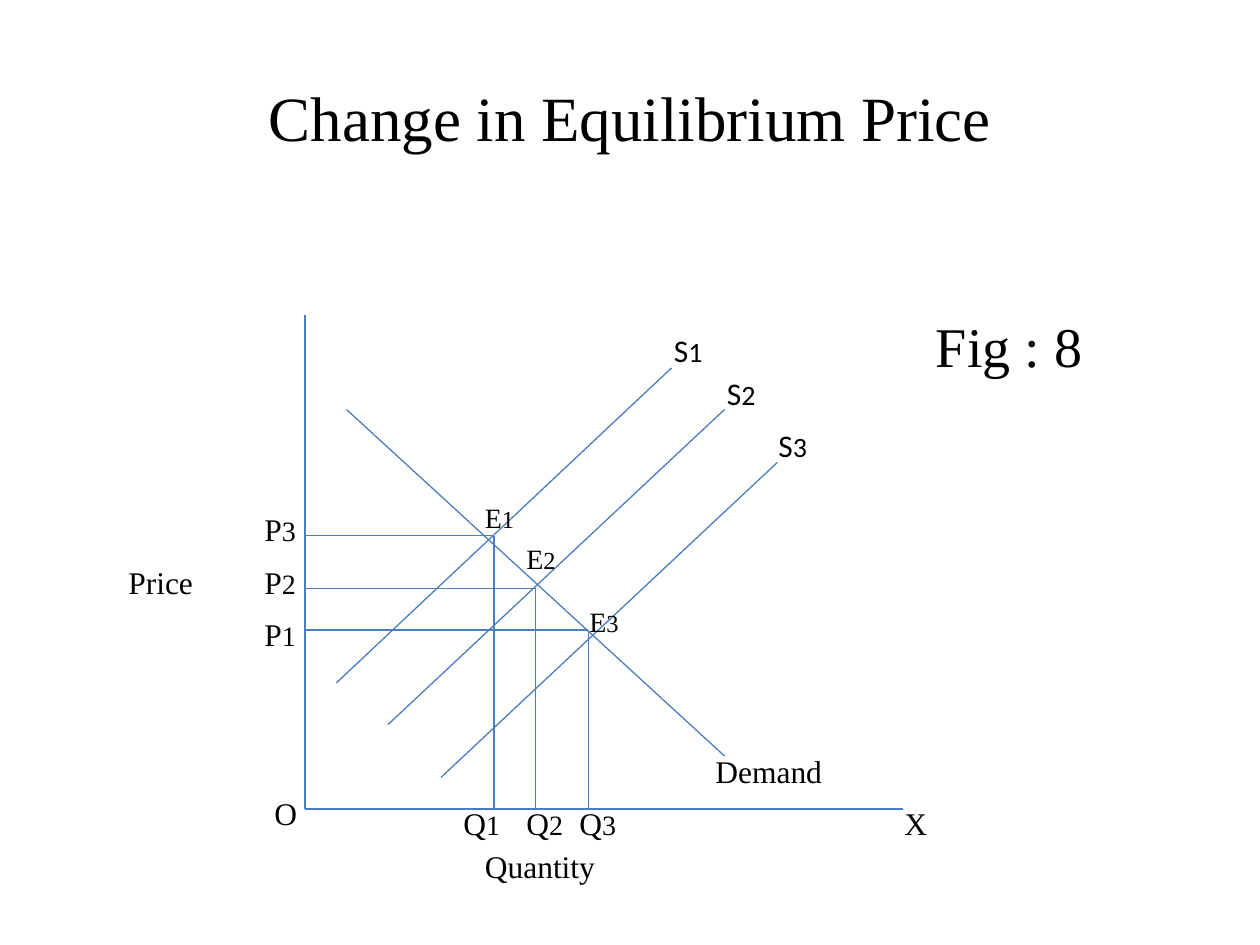
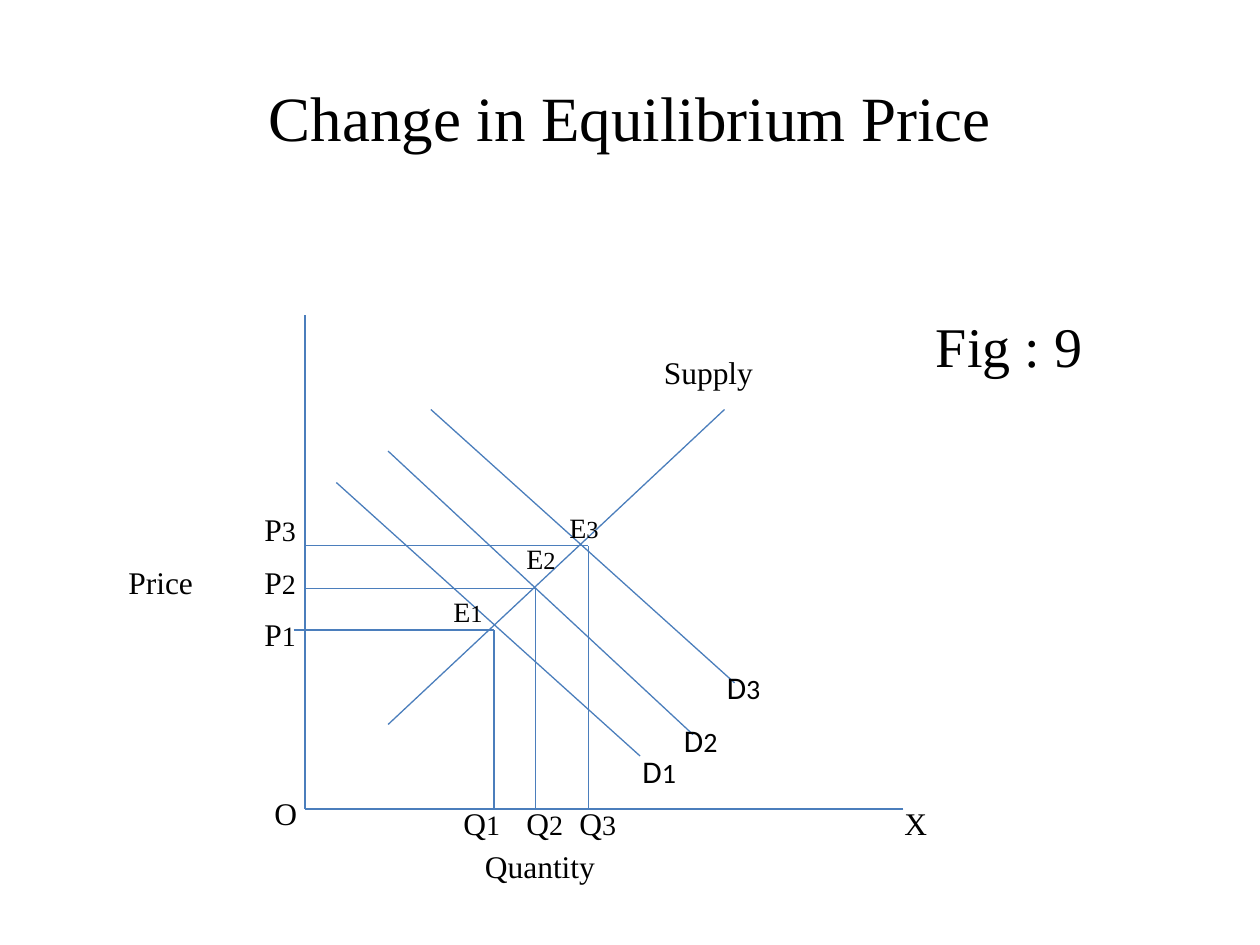
from lxml import etree
from pptx import Presentation
from pptx.dml.color import RGBColor
from pptx.enum import shapes, text
from pptx.oxml import ns
from pptx.util import Inches, Pt

BLACK = RGBColor(0x00, 0x00, 0x00)
BLUE = RGBColor(0x4B, 0x7E, 0xBC)
SERIF = "Times New Roman"
SANS = "Calibri"

LEFT, BASE = 2.42, 6.42
COLS = (3.92, 4.25, 4.67)


class Chart:
    frame = {"word_wrap": True, "auto_size": text.MSO_AUTO_SIZE.SHAPE_TO_FIT_TEXT}
    head = {
        "word_wrap": True,
        "auto_size": text.MSO_AUTO_SIZE.NONE,
        "vertical_anchor": text.MSO_ANCHOR.MIDDLE,
    }

    def __init__(self, deck):
        self.deck = deck
        self.slide = None

    def start(self):
        self.slide = self.deck.slides.add_slide(self.deck.slide_layouts[6])

    def put(self, item, values):
        for name, value in values.items():
            setattr(item, name, value)

    def run(self, para, words, size, face):
        font = para.add_run()
        font.text = words
        self.put(font.font, {"size": Pt(size), "name": face})
        font.font.color.rgb = BLACK

    def box(self, place, parts, face=SERIF, frame=None):
        box = self.slide.shapes.add_textbox(*map(Inches, place))
        self.put(box.text_frame, frame or self.frame)
        para = box.text_frame.paragraphs[0]
        for words, size in parts:
            self.run(para, words, size, face)
        return para

    def title(self, words):
        para = self.box((0.5, 0.3, 9, 1.25), [(words, 36)], frame=self.head)
        para.alignment = text.PP_ALIGN.CENTER

    def label(self, words, x, y, wide, size=18, high=0.4):
        self.box((x, y, wide, high), [(words, size)])

    def mark(self, sign, x, y, size=18, face=SERIF):
        wide, high = (0.58, 0.4) if size == 18 else (0.5, 0.37)
        parts = [(sign[0], size), (sign[1:], size - 2)]
        self.box((x, y, wide, high), parts, face)

    def line(self, *ends):
        line = self.slide.shapes.add_connector(
            shapes.MSO_CONNECTOR.STRAIGHT, *map(Inches, ends)
        )
        line.line.color.rgb = BLUE
        line.line.width = Pt(0.75)
        etree.SubElement(line._element.spPr, ns.qn("a:effectLst"))

    def axes(self):
        self.line(LEFT, 2.5, LEFT, BASE)
        self.line(7.17, BASE, LEFT, BASE)
        self.label("X", 7.08, 6.33, 0.33)
        self.label("O", 2.08, 6.25, 0.33)
        self.label("Price", 0.92, 4.42, 0.83)
        self.label("Quantity", 3.75, 6.67, 1.67)
        for i, (x, y) in enumerate(zip((3.58, 4.08, 4.5), (4.83, 4.42, 4)), 1):
            self.mark(f"Q{i}", x, 6.33)
            self.mark(f"P{i}", 2, y)

    def guides(self, levels, starts, spots):
        for i, (x, y, start, spot) in enumerate(zip(COLS, levels, starts, spots), 1):
            self.line(start, y, x, y)
            self.line(x, BASE, x, y)
            self.mark(f"E{i}", *spot, size=16)

    def curves(self, sign, lines, spots):
        for i, (ends, spot) in enumerate(zip(lines, spots), 1):
            self.line(*ends)
            self.mark(f"{sign}{i}", *spot, face=SANS)


SUPPLY = (5.75, 3.25, 3.08, 5.75)
FIGS = [
    {
        "name": "Fig : 8",
        "fixed": (2.75, 3.25, 5.75, 6),
        "tag": ("Demand", 5.58, 5.92, 1.17),
        "curves": (
            "S",
            [(5.33, 2.92, 2.67, 5.42), SUPPLY, (6.17, 3.67, 3.5, 6.17)],
            [(5.25, 2.58), (5.67, 2.92), (6.08, 3.33)],
        ),
        "guides": (
            (4.25, 4.67, 5),
            (LEFT, LEFT, LEFT),
            [(3.75, 3.92), (4.08, 4.25), (4.58, 4.75)],
        ),
    },
    {
        "name": "Fig : 9",
        "fixed": SUPPLY,
        "tag": ("Supply", 5.17, 2.75, 1.67),
        "curves": (
            "D",
            [(2.67, 3.83, 5.08, 6), (3.08, 3.58, 5.5, 5.83), (3.42, 3.25, 5.83, 5.42)],
            [(5, 5.92), (5.33, 5.67), (5.67, 5.25)],
        ),
        "guides": (
            (5, 4.67, 4.33),
            (2.33, LEFT, LEFT),
            [(3.5, 4.67), (4.08, 4.25), (4.42, 4)],
        ),
    },
]


def main():
    deck = Presentation()
    deck.slide_width, deck.slide_height = Inches(10), Inches(7.5)
    chart = Chart(deck)
    for fig in FIGS:
        chart.start()
        chart.title("Change in Equilibrium Price")
        chart.axes()
        chart.line(*fig["fixed"])
        chart.label(*fig["tag"])
        chart.curves(*fig["curves"])
        chart.guides(*fig["guides"])
        chart.label(fig["name"], 7.33, 2.42, 2, size=32, high=0.64)
    deck.save("out.pptx")


if __name__ == "__main__":
    main()
